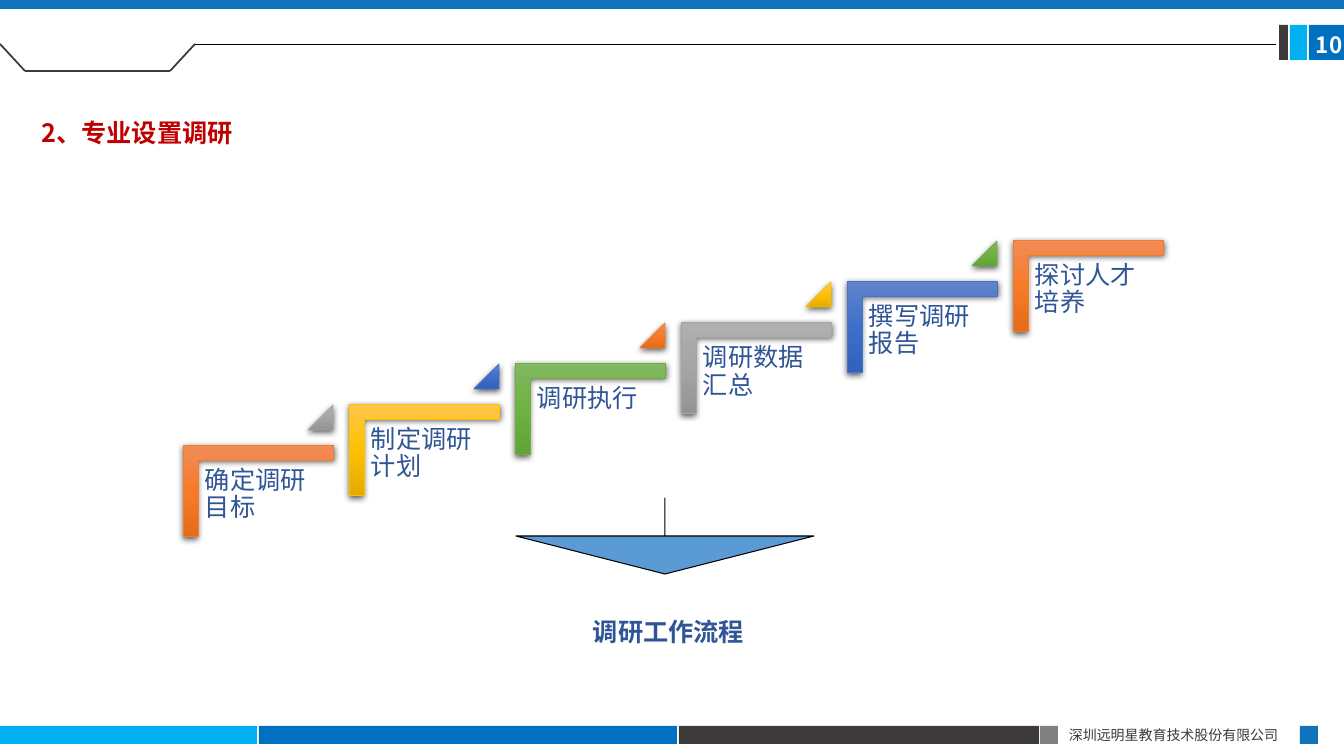
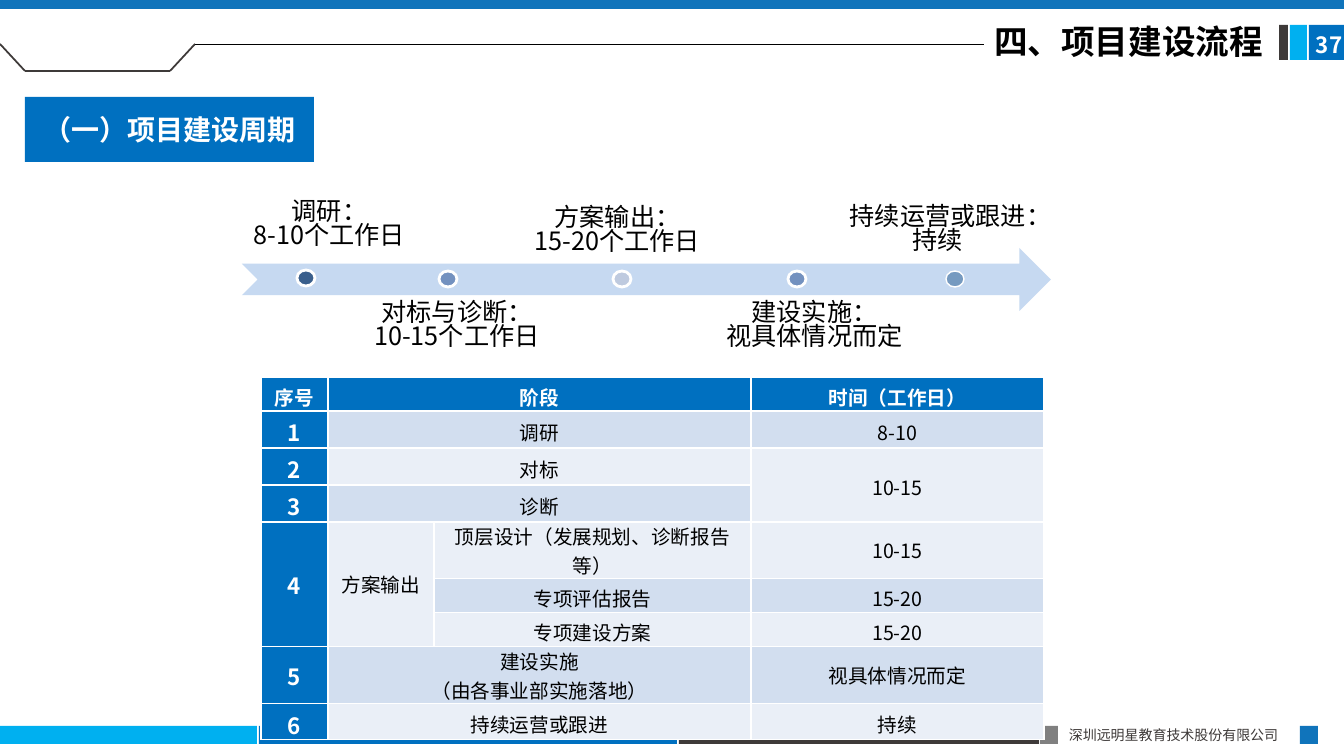
from copy import deepcopy

from lxml.etree import SubElement
from pptx import Presentation
from pptx.dml.color import RGBColor
from pptx.enum.shapes import MSO_CONNECTOR, MSO_SHAPE
from pptx.enum.text import MSO_ANCHOR, MSO_AUTO_SIZE, PP_ALIGN
from pptx.oxml.ns import qn
from pptx.util import Pt

PX = 9072
FONT = "Noto Sans CJK SC"
COLORS = {
    "sky": "00B0F0", "blue": "0070C0", "band": "1074BB", "dark": "3E3A39",
    "gray": "808080", "white": "FFFFFF", "black": "000000", "red": "C00000",
    "navy": "2F5597", "arrow": "5B9BD5", "pale": "C6D9F1",
    "row_odd": "D2DEEF", "row_even": "EAEFF7",
    "dot_deep": "3A5F8C", "dot_mid": "7391BF", "dot_light": "BECADF", "dot_last": "769AC0",
}
STEP_COLORS = {
    "orange": ("F18C57", "F67B28", "E56C19", "ED7D31"),
    "silver": ("AFAFAF", "A5A5A5", "939393", "A5A5A5"),
    "gold": ("FFC64B", "FFC000", "E3AB00", "FFC000"),
    "royal": ("6183CB", "3E70CA", "3062BB", "4472C4"),
    "green": ("81B861", "6FB242", "62A336", "70AD47"),
}


def write(frame, text, size=18, color="black", bold=False, align=PP_ALIGN.LEFT,
          font=FONT, spacing=1.0, after=0):
    for index, line in enumerate(text.split("\n")):
        para = frame.paragraphs[0] if index == 0 else frame.add_paragraph()
        para.alignment = align
        para.line_spacing = spacing
        para.space_before = Pt(0)
        para.space_after = Pt(after)
        span = para.add_run()
        span.text = line
        span.font.size = Pt(size)
        span.font.bold = bold
        span.font.color.rgb = RGBColor.from_string(COLORS[color])
        span.font.name = font
        SubElement(span.font._element, qn("a:ea"), typeface=font)


def add_block(page, kind, bounds, fill=None, line=None, width=1):
    shape = page.shapes.add_shape(kind, *[value * PX for value in bounds])
    shape.shadow.inherit = False
    if fill:
        shape.fill.solid()
        shape.fill.fore_color.rgb = RGBColor.from_string(COLORS[fill])
    if line:
        shape.line.color.rgb = RGBColor.from_string(COLORS[line])
        shape.line.width = Pt(width)
    else:
        shape.line.fill.background()
    return shape


deck = Presentation()
deck.slide_width = 1344 * PX
deck.slide_height = 756 * PX
layout = deck.slide_layouts[5]
for holder in list(layout.placeholders):
    if holder.placeholder_format.idx != 0:
        holder.element.getparent().remove(holder.element)
survey = deck.slides.add_slide(layout)
cycle = deck.slides.add_slide(layout)

bands = [
    (0, 726, 257, 18, "sky"), (259, 726, 418, 18, "blue"), (679, 726, 360, 18, "dark"),
    (1040, 726, 18, 18, "gray"), (1300, 726, 18, 18, "band"), (1309, 25, 35, 35, "blue"),
    (1290, 25, 17, 35, "sky"), (1279, 25, 9, 35, "dark"), (0, 0, 1344, 9, "band"),
]
shared = [add_block(survey, MSO_SHAPE.RECTANGLE, bounds, color) for *bounds, color in bands]

company = survey.shapes.add_textbox(1059 * PX, 722 * PX, 242 * PX, 27 * PX)
company.text_frame.word_wrap = True
write(company.text_frame, "深圳远明星教育技术股份有限公司", size=10, color="dark")
shared.append(company)

lines = [
    (survey, 25, 71, 170, 71, "dark", 1.25),
    (survey, 170, 71, 195, 44, "dark", 1.25),
    (survey, 25, 71, 0, 44, "dark", 1.25),
    (survey, 195, 44, 1276, 44, "black", 0.5),
    (cycle, 195, 44, 984, 44, "black", 0.5),
]
for page, *ends, color, width in lines:
    connector = page.shapes.add_connector(MSO_CONNECTOR.STRAIGHT, *[value * PX for value in ends])
    connector.line.color.rgb = RGBColor.from_string(COLORS[color])
    connector.line.width = Pt(width)
    SubElement(connector.element.spPr, qn("a:effectLst"))
    if color == "dark":
        shared.append(connector)
for shape in shared:
    layout.shapes.element.append(shape.element)

titles = [
    (survey, "10", "2、专业设置调研", (27, 97, 220, 56),
     {"size": 18, "color": "red", "align": PP_ALIGN.CENTER, "spacing": 1.5}),
    (cycle, "37", "四、项目建设流程", (984, 20, 297, 50), {"size": 24, "spacing": 0.9}),
]
for page, number, text, bounds, style in titles:
    title = page.shapes.title
    title.left, title.top, title.width, title.height = [value * PX for value in bounds]
    title.text_frame.auto_size = MSO_AUTO_SIZE.NONE
    title.text_frame.word_wrap = True
    title.text_frame.vertical_anchor = MSO_ANCHOR.TOP
    write(title.text_frame, text, bold=True, **style)
    box = page.shapes.add_textbox(1306 * PX, 26 * PX, 38 * PX, 37 * PX)
    box.text_frame.margin_right = 0
    write(box.text_frame, number, size=16, color="white", bold=True)

steps = [
    ("确定调研目标", "orange", "silver"), ("制定调研计划", "gold", "royal"),
    ("调研执行", "green", "orange"), ("调研数据汇总", "silver", "gold"),
    ("撰写调研报告", "royal", "green"), ("探讨人才培养", "orange", None),
]
for index, (text, corner_hue, triangle_hue) in enumerate(steps):
    across, up = 166 * index, 41 * index
    corner = add_block(survey, MSO_SHAPE.CORNER, (213 + across, 416 - up, 91, 150))
    corner.rotation = 90
    corner.adjustments[0] = corner.adjustments[1] = 0.16
    pieces = [(corner, corner_hue)]
    if triangle_hue:
        triangle = add_block(survey, MSO_SHAPE.ISOSCELES_TRIANGLE, (308 + across, 405 - up, 25, 25))
        triangle.adjustments[0] = 1
        pieces.append((triangle, triangle_hue))
    for shape, hue in pieces:
        shape.fill.gradient()
        shape.fill.gradient_angle = 270
        gradient = shape.element.spPr.find(qn("a:gradFill"))
        gradient.set("rotWithShape", "0")
        stops = gradient.find(qn("a:gsLst"))
        stops.insert(1, deepcopy(stops[0]))
        *shades, edge = STEP_COLORS[hue]
        for stop, shade, position in zip(shape.fill.gradient_stops, shades, (0, 0.5, 1)):
            stop.color.rgb = RGBColor.from_string(shade)
            stop.position = position
        shape.line.color.rgb = RGBColor.from_string(edge)
        shape.line.width = Pt(0.5)
        effects = shape.element.spPr.find(qn("a:effectLst"))
        shadow = SubElement(effects, qn("a:outerShdw"), blurRad="57150", dist="19050",
                            dir="5400000", algn="ctr", rotWithShape="0")
        tint = SubElement(shadow, qn("a:srgbClr"), val=COLORS["black"])
        SubElement(tint, qn("a:alpha"), val="63000")
    box = survey.shapes.add_textbox((198 + across) * PX, (461 - up) * PX, 136 * PX, 119 * PX)
    frame = box.text_frame
    frame.word_wrap = True
    frame.margin_left = frame.margin_right = frame.margin_top = frame.margin_bottom = 7 * PX
    write(frame, text, color="navy", spacing=0.9)

caption = survey.shapes.add_textbox(582 * PX, 613 * PX, 173 * PX, 39 * PX)
caption.text_frame.word_wrap = False
write(caption.text_frame, "调研工作流程", color="navy", bold=True,
      align=PP_ALIGN.CENTER, spacing=0.96)
pointer = add_block(survey, MSO_SHAPE.DOWN_ARROW, (516, 498, 298, 76), "arrow", "black", 0.75)
pointer.adjustments[0] = 0
pointer.adjustments[1] = 0.5

heading = add_block(cycle, MSO_SHAPE.RECTANGLE, (25, 97, 289, 65), "blue")
heading.text_frame.vertical_anchor = MSO_ANCHOR.MIDDLE
write(heading.text_frame, "（一）项目建设周期", size=20, color="white", bold=True,
      align=PP_ALIGN.CENTER, font="Calibri")

rows = [
    (34, "序号", "阶段", None, "时间（工作日）"),
    (37, "1", "调研", None, "8-10"),
    (37, "2", "对标", None, "10-15"),
    (37, "3", "诊断", None, None),
    (57, "4", "方案输出", "顶层设计（发展规划、诊断报告等）", "10-15"),
    (34, None, None, "专项评估报告", "15-20"),
    (34, None, None, "专项建设方案", "15-20"),
    (57, "5", "建设实施\n（由各事业部实施落地）", None, "视具体情况而定"),
    (36, "6", "持续运营或跟进", None, "持续"),
]
merges = [(row, 1, row, 2) for row in (0, 1, 2, 3, 7, 8)]
merges += [(2, 3, 3, 3), (4, 0, 6, 0), (4, 1, 6, 1)]
graphic = cycle.shapes.add_table(len(rows), 4, 261 * PX, 377 * PX, 783 * PX, 363 * PX)
table = graphic.table
for column, width in zip(table.columns, (67, 106, 317, 293)):
    column.width = width * PX
for top, left, bottom, right in merges:
    table.cell(top, left).merge(table.cell(bottom, right))
for row, (height, *texts) in enumerate(rows):
    table.rows[row].height = height * PX
    for column, text in enumerate(texts):
        cell = table.cell(row, column)
        strong = row == 0 or column == 0
        cell.fill.solid()
        fill = "blue" if strong else "row_odd" if row % 2 else "row_even"
        cell.fill.fore_color.rgb = RGBColor.from_string(COLORS[fill])
        cell.vertical_anchor = MSO_ANCHOR.MIDDLE
        cell.margin_top = 0 if height == 57 else 5 * PX
        cell.margin_bottom = 0
        if text:
            write(cell.text_frame, text, size=16 if row and column == 0 else 14,
                  color="white" if strong else "black", bold=strong, align=PP_ALIGN.CENTER)

add_block(cycle, MSO_SHAPE.NOTCHED_RIGHT_ARROW, (242, 248, 809, 63), "pale")
stages = [
    ("调研：\n8-10个工作日", 242, 195, 175, 297, 270, "dot_deep", 2),
    ("对标与诊断：\n10-15个工作日", 355, 303, 204, 439, 271, "dot_mid", 2),
    ("方案输出：\n15-20个工作日", 520, 201, 195, 613, 271, "dot_light", 2),
    ("建设实施：\n视具体情况而定", 716, 303, 197, 788, 271, "dot_mid", 2),
    ("持续运营或跟进：\n持续", 839, 200, 198, 946, 271, "dot_last", 1),
]
for index, (text, left, top, width, dot_left, dot_top, color, weight) in enumerate(stages):
    box = cycle.shapes.add_textbox(left * PX, top * PX, width * PX, 63 * PX)
    frame = box.text_frame
    frame.word_wrap = False
    frame.vertical_anchor = MSO_ANCHOR.TOP if index % 2 else MSO_ANCHOR.BOTTOM
    frame.margin_left = frame.margin_right = frame.margin_top = frame.margin_bottom = 8 * PX
    write(frame, text, align=PP_ALIGN.CENTER, spacing=Pt(10.8), after=6.3)
    add_block(cycle, MSO_SHAPE.OVAL, (dot_left, dot_top, 18, 16), color, "white", weight)

deck.save("out.pptx")
